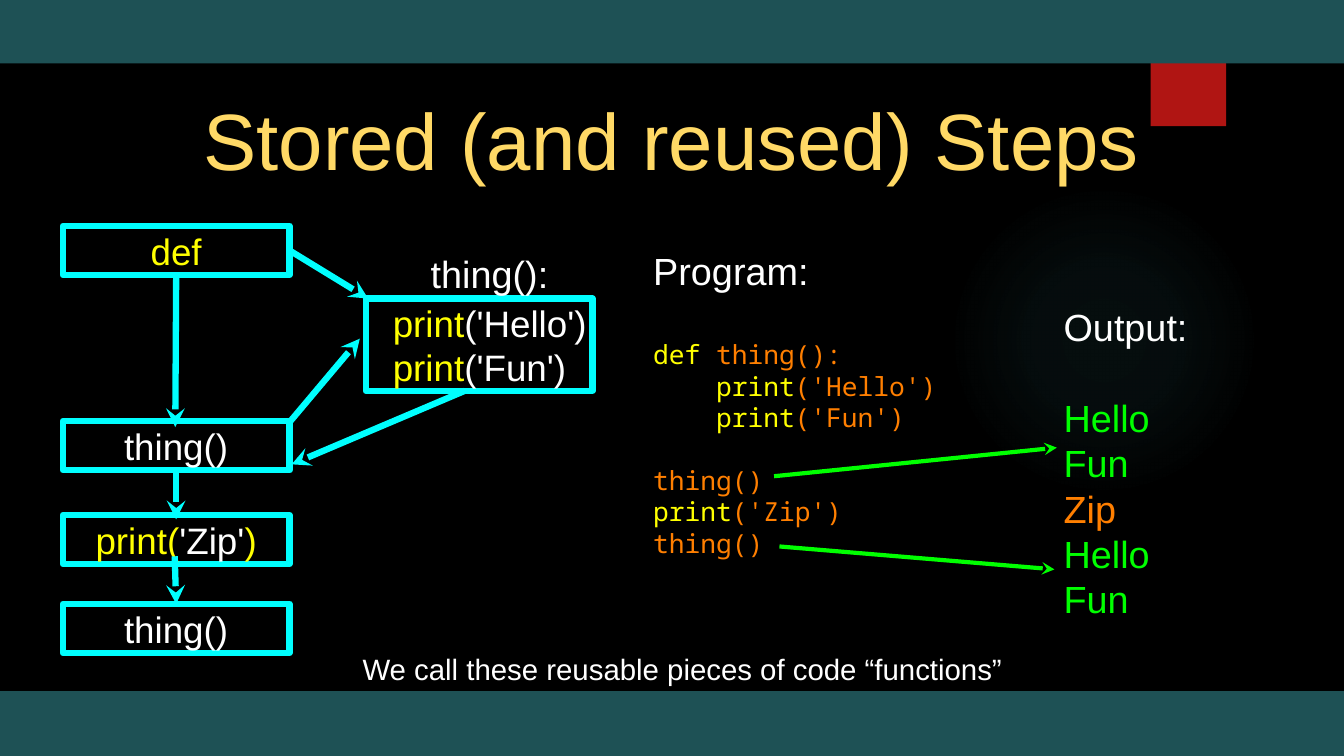
"""Build the slide on stored and reused steps: flow chart, program and output."""
from lxml import etree
from pptx import Presentation
from pptx.dml.color import RGBColor
from pptx.enum.shapes import MSO_CONNECTOR, MSO_SHAPE
from pptx.enum.text import MSO_ANCHOR, PP_ALIGN
from pptx.oxml.ns import qn
from pptx.util import Cm, Pt

RECT, OVAL = MSO_SHAPE.RECTANGLE, MSO_SHAPE.OVAL
STRAIGHT = MSO_CONNECTOR.STRAIGHT
MIDDLE = MSO_ANCHOR.MIDDLE
LEFT, CENTER = PP_ALIGN.LEFT, PP_ALIGN.CENTER
TOP, BOTTOM, RIGHT = 0, 2, 3

WIDTH, HEIGHT = 45.16, 25.4
SANS, MONO = "Arial", "Noto Sans Mono"
BLACK, WHITE, YELLOW, ORANGE = "000000", "FFFFFF", "FFFF00", "FF7F00"
GREEN, CYAN, GOLD, TEAL, RED, GLOW = "00FF00", "00FFFF", "FFD966", "1E5155", "B01513", "50B9C1"
LEADING = 1.2

TITLE = [[("Stored (and reused) Steps", GOLD)]]
TITLE_AREA = (3.2, 2.24, 38.7, 4.83)
GLOW_AREA = (31.88, 6.2, 10.44, 10.44)
GLOW_STOPS = [(0, 7), (36, 6), (69, 0)]
PANELS = [
    ((38.66, 0, 2.54, 4.24), RED),
    ((0, 0, WIDTH, 2.13), TEAL),
    ((0, 23.22, WIDTH, 2.18), TEAL),
]

STEP_LEFT, STEP_WIDTH, STEP_HEIGHT = 2.11, 7.62, 1.65
STEPS = [
    ("define", 7.59, [("def", YELLOW)]),
    ("first call", 14.15, [("thing()", WHITE)]),
    ("zip", 17.3, [("print(", YELLOW), ("'Zip'", WHITE), (")", YELLOW)]),
    ("second call", 20.29, [("thing()", WHITE)]),
]
FUNCTION_AREA = (12.29, 10.03, 7.62, 3.1)
FUNCTION_BODY = [
    [("print", YELLOW), ("('Hello')", WHITE)],
    [("print", YELLOW), ("('Fun')", WHITE)],
]
CAPTIONS = [
    ((14, 8.33, 4.9, 1.73), "thing():", 36),
    ((10.69, 21.59, 24.46, 1.73), "We call these reusable pieces of code “functions”", 28),
]

OUTPUT_AREA = (35.74, 10.34, 8.79, 10.41)
OUTPUT = [
    ("Output:", WHITE), ("Hello", GREEN), ("Fun", GREEN),
    ("Zip", ORANGE), ("Hello", GREEN), ("Fun", GREEN),
]
PROGRAM_AREA = (21.95, 8.26, 9.96, 10.57)
PROGRAM = [
    [("def", YELLOW), (" thing():", ORANGE)],
    [("    print", YELLOW), ("('Hello')", ORANGE)],
    [("    print", YELLOW), ("('Fun')", ORANGE)],
    [("thing()", ORANGE)],
    [("print", YELLOW), ("('Zip')", ORANGE)],
    [("thing()", ORANGE)],
]

ARROWS = [
    ((5.92, 9.24), (5.89, 14.35), CYAN, 6, ("define", BOTTOM), None),
    ((5.92, 15.8), (5.92, 17.45), CYAN, 6, ("first call", BOTTOM), None),
    ((5.87, 18.69), (5.92, 20.29), CYAN, 6, None, ("second call", TOP)),
    ((9.73, 8.42), (12.37, 10.03), CYAN, 6, ("define", RIGHT), None),
    ((9.7, 14.22), (12.09, 11.38), CYAN, 6, None, None),
    ((15.62, 13.13), (9.8, 15.6), CYAN, 6, None, None),
    ((26.01, 16), (35.51, 15.04), GREEN, 4, None, None),
    ((26.19, 18.36), (35.43, 19.13), GREEN, 4, None, None),
]


def paint(target, color):
    target.solid()
    target.fore_color.rgb = RGBColor.from_string(color)


def add_xml(parent, tag, **values):
    return etree.SubElement(parent, qn(tag), {key: str(value) for key, value in values.items()})


def add_para(frame, spans, size, font=SANS, align=LEFT, before=0, exact=True):
    first = frame.paragraphs[0]
    para = frame.add_paragraph() if first.runs else first
    layout = {"alignment": align, "space_before": Pt(before)}
    if exact:
        layout["line_spacing"] = Pt(size * LEADING)
    for name, value in layout.items():
        setattr(para, name, value)
    for text, color in spans:
        span = para.add_run()
        span.text = text
        for name, value in {"name": font, "size": Pt(size), "bold": False}.items():
            setattr(span.font, name, value)
        paint(span.font.fill, color)


def set_frame(shape, inset=0, left=None):
    frame = shape.text_frame
    settings = {
        "word_wrap": True,
        "vertical_anchor": MIDDLE,
        "margin_left": Cm(inset if left is None else left),
        "margin_right": Cm(inset),
        "margin_top": Cm(inset),
        "margin_bottom": Cm(inset),
    }
    for name, value in settings.items():
        setattr(frame, name, value)
    return frame


def add_text(page, area):
    return set_frame(page.shapes.add_textbox(*map(Cm, area)))


def add_panel(page, area, color, kind=RECT):
    panel = page.shapes.add_shape(kind, *map(Cm, area))
    panel.shadow.inherit = False
    paint(panel.fill, color)
    panel.line.fill.background()
    return panel


def add_glow(page):
    properties = add_panel(page, GLOW_AREA, GLOW, OVAL)._element.spPr
    solid = properties.find(qn("a:solidFill"))
    gradient = etree.Element(qn("a:gradFill"), rotWithShape="1")
    stops = add_xml(gradient, "a:gsLst")
    for position, opacity in GLOW_STOPS:
        stop = add_xml(stops, "a:gs", pos=position * 1000)
        add_xml(add_xml(stop, "a:srgbClr", val=GLOW), "a:alpha", val=opacity * 1000)
    center = add_xml(gradient, "a:path", path="circle")
    add_xml(center, "a:fillToRect", l=50000, t=50000, r=50000, b=50000)
    properties.replace(solid, gradient)


def add_box(page, area):
    box = page.shapes.add_shape(RECT, *map(Cm, area))
    box.shadow.inherit = False
    box.fill.background()
    paint(box.line.fill, CYAN)
    box.line.width = Pt(6)
    return box


def add_arrow(page, start, tip, color, weight, source, target, boxes):
    arrow = page.shapes.add_connector(STRAIGHT, *map(Cm, start + tip))
    if source:
        arrow.begin_connect(boxes[source[0]], source[1])
    if target:
        arrow.end_connect(boxes[target[0]], target[1])
    paint(arrow.line.fill, color)
    arrow.line.width = Pt(weight)
    add_xml(arrow.line._get_or_add_ln(), "a:tailEnd", type="stealth")
    add_xml(arrow._element.spPr, "a:effectLst")


def main():
    deck = Presentation()
    deck.slide_width, deck.slide_height = Cm(WIDTH), Cm(HEIGHT)
    page = deck.slides.add_slide(deck.slide_layouts[5])
    paint(page.background.fill, BLACK)

    add_glow(page)
    for area, color in PANELS:
        add_panel(page, area, color)

    title = page.shapes.title
    for name, value in zip(("left", "top", "width", "height"), TITLE_AREA):
        setattr(title, name, Cm(value))
    add_para(set_frame(title, 0.1), TITLE[0], 76, align=CENTER, exact=False)

    boxes = {}
    for name, top, spans in STEPS:
        boxes[name] = add_box(page, (STEP_LEFT, top, STEP_WIDTH, STEP_HEIGHT))
        add_para(set_frame(boxes[name]), spans, 35, align=CENTER)
    body = set_frame(add_box(page, FUNCTION_AREA), left=0.91)
    for spans in FUNCTION_BODY:
        add_para(body, spans, 35)
    for area, text, size in CAPTIONS:
        add_para(add_text(page, area), [(text, WHITE)], size, align=CENTER)

    output = add_text(page, OUTPUT_AREA)
    for index, span in enumerate(OUTPUT):
        add_para(output, [span], 36, before=36 * LEADING if index == 1 else 0)
    program = add_text(page, PROGRAM_AREA)
    add_para(program, [("Program:", WHITE)], 36)
    gaps = {0: 36 * LEADING, 3: 25 * LEADING}
    for index, spans in enumerate(PROGRAM):
        add_para(program, spans, 25, MONO, before=gaps.get(index, 0))

    for arrow in ARROWS:
        add_arrow(page, *arrow, boxes)
    deck.save("out.pptx")


if __name__ == "__main__":
    main()
